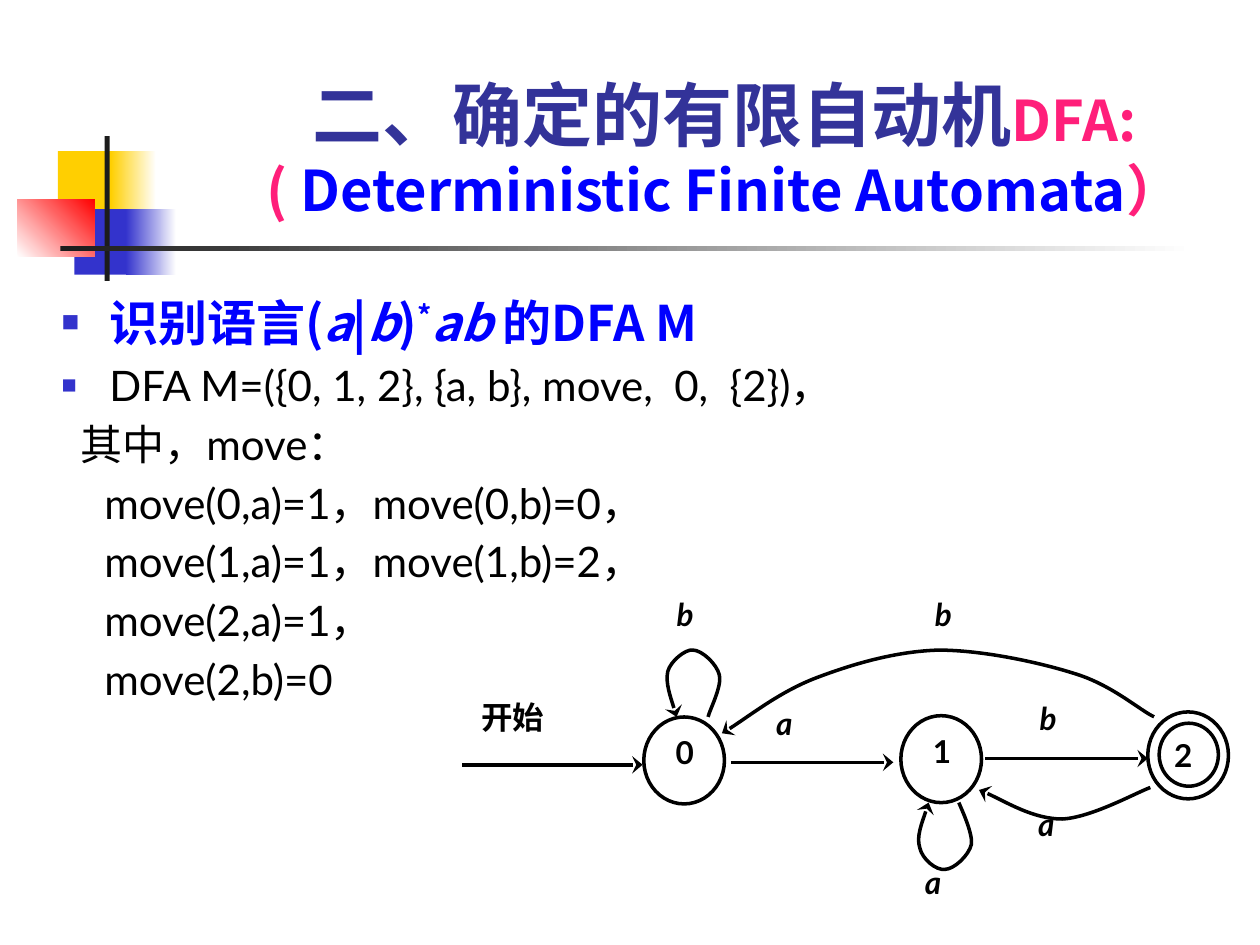
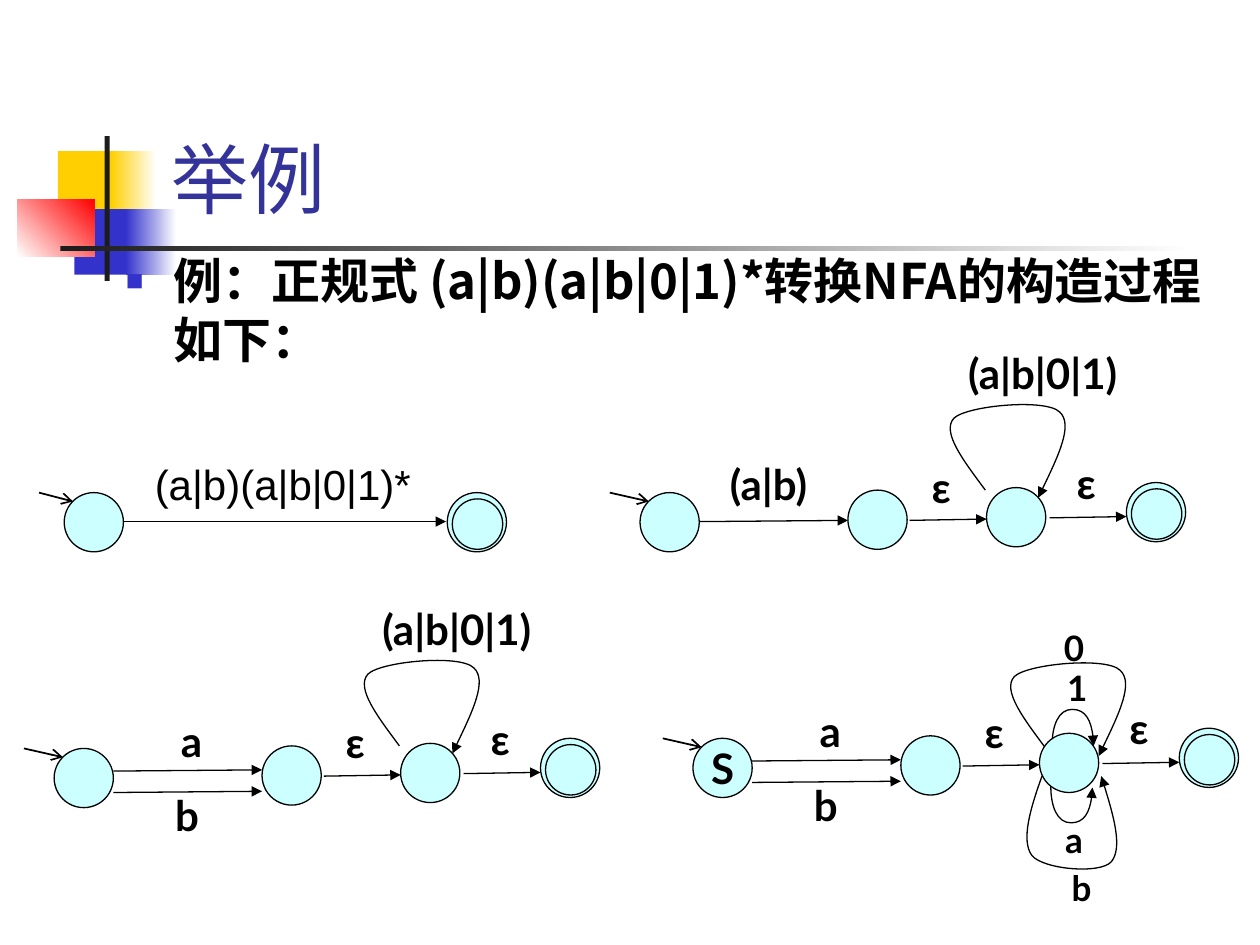
from lxml import etree
from pptx import Presentation
from pptx import util as u
from pptx.dml.color import RGBColor
from pptx.enum import shapes, text
from pptx.oxml.ns import qn

HUES = {"ink": "000000", "dark": "1C1C1C", "white": "FFFFFF", "gold": "FFCF01",
        "blue": "3333CC", "red": "FF0000", "title": "333399", "pink": "FF1F7A",
        "vivid": "0000FF", "pale": "CCFFFF"}
JP, SC, LATO = "Noto Sans CJK JP", "Noto Sans CJK SC", "Lato"
LEFT, MID, JUST = text.PP_ALIGN.LEFT, text.PP_ALIGN.CENTER, text.PP_ALIGN.JUSTIFY
TOP, CORE, BASE = text.MSO_ANCHOR.TOP, text.MSO_ANCHOR.MIDDLE, text.MSO_ANCHOR.BOTTOM
PAD = (0.1, 0.05, 0.1, 0.05)
LOOP = [(0, 0), (-0.17, -0.23), (-0.35, -0.46), (-0.25, -0.57), (-0.15, -0.67),
        (0.48, -0.73), (0.59, -0.62), (0.7, -0.52), (0.56, -0.23), (0.42, 0.06)]


def tone(name):
    return RGBColor.from_string(HUES[name])


def style(font, size, hue="ink", face=LATO, bold=False, slant=False):
    font.size, font.name, font.bold, font.italic = u.Pt(size), face, bold, slant
    font.color.rgb = tone(hue)
    mark = etree.SubElement(font._element, qn("a:ea"))
    mark.set("typeface", face)


def setup(frame, pad=PAD, anchor=TOP, wrap=True):
    frame.word_wrap, frame.vertical_anchor = wrap, anchor
    sides = [u.Inches(n) for n in pad]
    frame.margin_left, frame.margin_top, frame.margin_right, frame.margin_bottom = sides


def textbox(slide, box, anchor=TOP, pad=PAD, wrap=True):
    frame = slide.shapes.add_textbox(*[u.Inches(n) for n in box]).text_frame
    setup(frame, pad, anchor, wrap)
    return frame


def label(slide, box, words, size=24, align=MID, pad=PAD, bold=True, slant=False,
          face=LATO, wrap=True):
    para = textbox(slide, box, pad=pad, wrap=wrap).paragraphs[0]
    para.text, para.alignment = words, align
    style(para.font, size, face=face, bold=bold, slant=slant)


def add_run(para, words, *look):
    run = para.add_run()
    run.text = words
    style(run.font, *look)
    return run


def indent(para, left, first=0.0, bullet=False):
    props = para._p.get_or_add_pPr()
    props.set("marL", str(u.Inches(left)))
    props.set("indent", str(u.Inches(first)))
    if bullet:
        hue = etree.SubElement(props, qn("a:buClr"))
        etree.SubElement(hue, qn("a:srgbClr")).set("val", HUES["blue"])
        etree.SubElement(props, qn("a:buSzPct")).set("val", "60000")
        etree.SubElement(props, qn("a:buFont")).set("typeface", "Arial")
        etree.SubElement(props, qn("a:buChar")).set("char", "■")


def stroke(line, width, head=None):
    line.color.rgb, line.width = tone("ink"), u.Pt(width)
    if head:
        tip = etree.SubElement(line._get_or_add_ln(), qn("a:tailEnd"))
        tip.set("type", head)
        if head == "stealth":
            tip.set("w", "lg")


def arrow(slide, start, end, width=0.75, head="triangle"):
    ends = [u.Inches(n) for n in (*start, *end)]
    link = slide.shapes.add_connector(shapes.MSO_CONNECTOR.STRAIGHT, *ends)
    stroke(link.line, width, head)
    etree.SubElement(link._element.spPr, qn("a:effectLst"))


def curve(slide, x, y, points, width=0.75, head="triangle"):
    spots = [(u.Inches(x + a), u.Inches(y + b)) for a, b in points]
    pen = slide.shapes.build_freeform(*spots[0], scale=1.0)
    pen.add_line_segments(spots[1:], close=False)
    shape = pen.convert_to_shape()
    steps = list(shape._element.iter(qn("a:lnTo")))
    for i in range(0, len(steps), 3):
        bend = etree.Element(qn("a:cubicBezTo"))
        steps[i].addprevious(bend)
        for step in steps[i:i + 3]:
            bend.append(step[0])
            step.getparent().remove(step)
    shape.fill.background()
    shape.shadow.inherit = False
    stroke(shape.line, width, head)


def circle(slide, x, y, wide, high, width=0.75, fill="pale"):
    box = [u.Inches(n) for n in (x, y, wide, high)]
    shape = slide.shapes.add_shape(shapes.MSO_SHAPE.OVAL, *box)
    shape.shadow.inherit = False
    if fill:
        shape.fill.solid()
        shape.fill.fore_color.rgb = tone(fill)
    else:
        shape.fill.background()
    stroke(shape.line, width)
    return shape


def name_state(shape, words, size, pad, anchor, align, wrap=True):
    setup(shape.text_frame, pad, anchor, wrap)
    para = shape.text_frame.paragraphs[0]
    para.text, para.alignment = words, align
    style(para.font, size, bold=True)


def decor(slide):
    bands = [(0.46, 1.2, 0.48, 0.52, "gold", None, 0),
             (0.88, 1.2, 0.36, 0.52, "gold", "white", 0),
             (0.59, 1.66, 0.46, 0.52, "blue", None, 0),
             (1, 1.66, 0.4, 0.52, "blue", "white", 0),
             (0.14, 1.58, 0.61, 0.46, "white", "red", 45),
             (0.83, 1.08, 0.04, 1.15, "dark", None, 0),
             (0.48, 1.95, 9, 0.04, "dark", "white", 0)]
    for *box, hue, fade, angle in bands:
        band = slide.shapes.add_shape(shapes.MSO_SHAPE.RECTANGLE, *[u.Inches(n) for n in box])
        band.shadow.inherit = False
        band.line.fill.background()
        if fade:
            band.fill.gradient()
            band.fill.gradient_angle = angle
            for stop, name in zip(band.fill.gradient_stops, (hue, fade)):
                stop.color.rgb = tone(name)
        else:
            band.fill.solid()
            band.fill.fore_color.rgb = tone(hue)


def title(slide, box, runs, align=LEFT):
    para = textbox(slide, box, BASE).paragraphs[0]
    para.alignment = align
    for words, *look in runs:
        add_run(para, words, *look)


def dfa_text(slide, box):
    frame = textbox(slide, box)
    para = frame.paragraphs[0]
    indent(para, 0.38, -0.38, True)
    para.space_before = u.Pt(5.6)
    for words, slant in [("识别语言(", False), ("a", True), ("|", False), ("b", True),
                         (")", False), ("*", False), ("ab ", True), ("的DFA M", False)]:
        run = add_run(para, words, 28, "vivid", JP, True, slant)
        if words == "*":
            run.font._element.set("baseline", "30000")
    rows = [("DFA M=({0, 1, 2}, {a, b}, move,  0,  {2})，", 0.38),
            ("其中，move：", 0.15),
            ("move(0,a)=1，move(0,b)=0，", 0.34),
            ("move(1,a)=1，move(1,b)=2，", 0.34),
            ("move(2,a)=1，", 0.34),
            ("move(2,b)=0", 0.34)]
    for i, (words, left) in enumerate(rows):
        para = frame.add_paragraph()
        para.text, para.space_before = words, u.Pt(4.8)
        indent(para, left, 0 if i else -0.38, i == 0)
        style(para.font, 24)


def dfa_graph(slide, x, y):
    for words, a, b in [("0", 1.44, 1), ("1", 3.48, 0.99)]:
        state = circle(slide, x + a, y + b, 0.64, 0.69, 2, None)
        name_state(state, words, 18, (0.16, 0.03, 0.02, 0.05), TOP, LEFT)
    circle(slide, x + 5.44, y + 0.96, 0.64, 0.69, 2, None)
    last = circle(slide, x + 5.53, y + 1.05, 0.47, 0.5, 2, None)
    name_state(last, "2", 18, (0.05, 0, 0.01, 0), CORE, JUST)
    for a, b, c in [(0, 1.38, 1.43), (2.13, 1.36, 3.42), (4.15, 1.33, 5.44)]:
        arrow(slide, (x + a, y + b), (x + c, y + b), 2, "stealth")
    bends = [
        [(1.95, 1), (1.96, 0.95), (2.06, 0.76), (2.04, 0.67), (2.02, 0.58), (1.9, 0.47),
         (1.83, 0.47), (1.77, 0.46), (1.65, 0.56), (1.63, 0.64), (1.61, 0.73), (1.68, 0.93),
         (1.7, 1)],
        [(3.94, 1.68), (3.96, 1.73), (4.05, 1.92), (4.04, 2.01), (4.02, 2.1), (3.9, 2.21),
         (3.83, 2.21), (3.76, 2.22), (3.65, 2.13), (3.63, 2.04), (3.6, 1.95), (3.68, 1.75),
         (3.7, 1.68)],
        [(5.46, 1.56), (5.35, 1.6), (4.99, 1.8), (4.76, 1.81), (4.53, 1.81), (4.24, 1.63),
         (4.1, 1.58)],
        [(5.49, 1), (5.38, 0.95), (5.16, 0.75), (4.87, 0.66), (4.59, 0.57), (4.13, 0.47),
         (3.78, 0.47), (3.44, 0.48), (3.1, 0.58), (2.81, 0.69), (2.52, 0.8), (2.22, 1.04),
         (2.06, 1.13)]]
    for bend in bends:
        curve(slide, x, y, bend, 2, "stealth")
    pad = (0.06, 0.03, 0.06, 0.03)
    label(slide, (x + 0.09, y + 0.82, 1.04, 0.65), "开始", 18, JUST, pad)
    for words, a, b in [("a", 2.43, 0.87), ("a", 3.61, 2.13), ("b", 4.52, 0.83),
                        ("b", 1.64, 0), ("a", 4.51, 1.67), ("b", 3.69, 0)]:
        label(slide, (x + a, y + b, 0.52, 0.56), words, 18, JUST, pad, slant=True)


def enter(slide, x, y, lead=0.24):
    arrow(slide, (x - lead, y), (x + 0.07, y + 0.07), 1, "arrow")


def final(slide, x, y):
    circle(slide, x, y, 0.47, 0.47)
    circle(slide, x + 0.04, y + 0.05, 0.4, 0.4)


def whole(slide, x, y):
    circle(slide, x, y, 0.47, 0.47)
    enter(slide, x, y, 0.2)
    arrow(slide, (x + 0.47, y + 0.23), (x + 3.03, y + 0.23))
    label(slide, (x, y - 0.32, 3.47, 0.51), "(a|b)(a|b|0|1)*", bold=False, face="Arial")
    final(slide, x + 3.04, y)


def chain(slide, x, y, split=True, start="", merged=True):
    if merged:
        curve(slide, x + 2.74, y - 0.02, LOOP)
        label(slide, (x + 2.2, y - 1.2, 1.99, 0.5), "(a|b|0|1)", wrap=False)
    enter(slide, x, y)
    first = circle(slide, x, y, 0.47, 0.47)
    if start:
        name_state(first, start, 24, PAD, CORE, MID, False)
    for a, b in [(1.65, -0.02), (2.75, -0.04)]:
        circle(slide, x + a, y + b, 0.47, 0.47)
    final(slide, x + 3.86, y - 0.08)
    for b in (0.18, 0.35) if split else (0.23,):
        arrow(slide, (x + 0.47, y + b), (x + 1.65, y + b - 0.01))
    if split:
        label(slide, (x + 0.89, y - 0.31, 0.4, 0.5), "a", wrap=False)
        label(slide, (x + 0.84, y + 0.28, 0.43, 0.5), "b", wrap=False)
    else:
        label(slide, (x + 0.47, y - 0.32, 1.1, 0.5), "(a|b)")
    for a, b in [(2.14, 0.22), (3.25, 0.2)]:
        arrow(slide, (x + a, y + b), (x + a + 0.61, y + b - 0.01))
    for a, b in [(1.88, -0.3), (3.03, -0.33)]:
        label(slide, (x + a, y + b, 1.02, 0.5), "ε")


def loops(slide, x, y):
    curve(slide, x + 0.2, y + 0.34, LOOP)
    curve(slide, x, y, [(0.25, 0.32), (0.25, 0.16), (0.3, 0.03), (0.41, 0.03),
                        (0.52, 0.03), (0.58, 0.16), (0.58, 0.32)])
    curve(slide, x, y, [(0.24, 0.64), (0.24, 0.8), (0.29, 0.93), (0.4, 0.93),
                        (0.51, 0.93), (0.57, 0.8), (0.57, 0.65)])
    curve(slide, x, y, [(0.17, 0.56), (0.08, 0.81), (0, 1.07), (0.09, 1.19), (0.18, 1.3),
                        (0.63, 1.34), (0.72, 1.24), (0.81, 1.13), (0.73, 0.84), (0.64, 0.56)])
    for words, a, b, wide in [("0", 0.19, -0.68, 0.47), ("1", 0.27, -0.36, 0.31),
                              ("a", 0.15, 0.85, 0.55), ("b", 0.13, 1.23, 0.71)]:
        label(slide, (x + a, y + b, wide, 0.43), words, 20)


def nfa_text(slide, box):
    para = textbox(slide, box).paragraphs[0]
    indent(para, 0.38, -0.38, True)
    para.space_before = u.Pt(5.6)
    add_run(para, "例：正规式 (a|b)(a|b|0|1)*转换NFA的构造过程如下：", 28, "ink", JP, True)


def dfa_slide(slide):
    decor(slide)
    title(slide, (1.25, 1.09, 9, 0.73),
          [("二、确定的有限自动机", 40, "title", JP, True),
           ("DFA:( ", 32, "pink", SC, True),
           ("Deterministic Finite Automata", 32, "vivid", SC, True),
           ("）", 32, "pink", SC, True)], MID)
    dfa_text(slide, (0.39, 2.27, 9.21, 4.45))
    dfa_graph(slide, 3.67, 4.69)


def nfa_slide(slide):
    decor(slide)
    title(slide, (1.26, 0.23, 8.52, 1.6), [("举例", 44, "title", JP)])
    nfa_text(slide, (0.9, 1.94, 8.89, 1.07))
    whole(slide, 0.51, 3.91)
    chain(slide, 5.08, 3.91, split=False)
    chain(slide, 0.43, 5.94)
    loops(slide, 8.1, 5.6)
    chain(slide, 5.5, 5.86, start="S", merged=False)


def main():
    deck = Presentation()
    deck.slide_width, deck.slide_height = u.Inches(10), u.Inches(7.5)
    for build in (dfa_slide, nfa_slide):
        build(deck.slides.add_slide(deck.slide_layouts[6]))
    deck.save("out.pptx")


if __name__ == "__main__":
    main()
